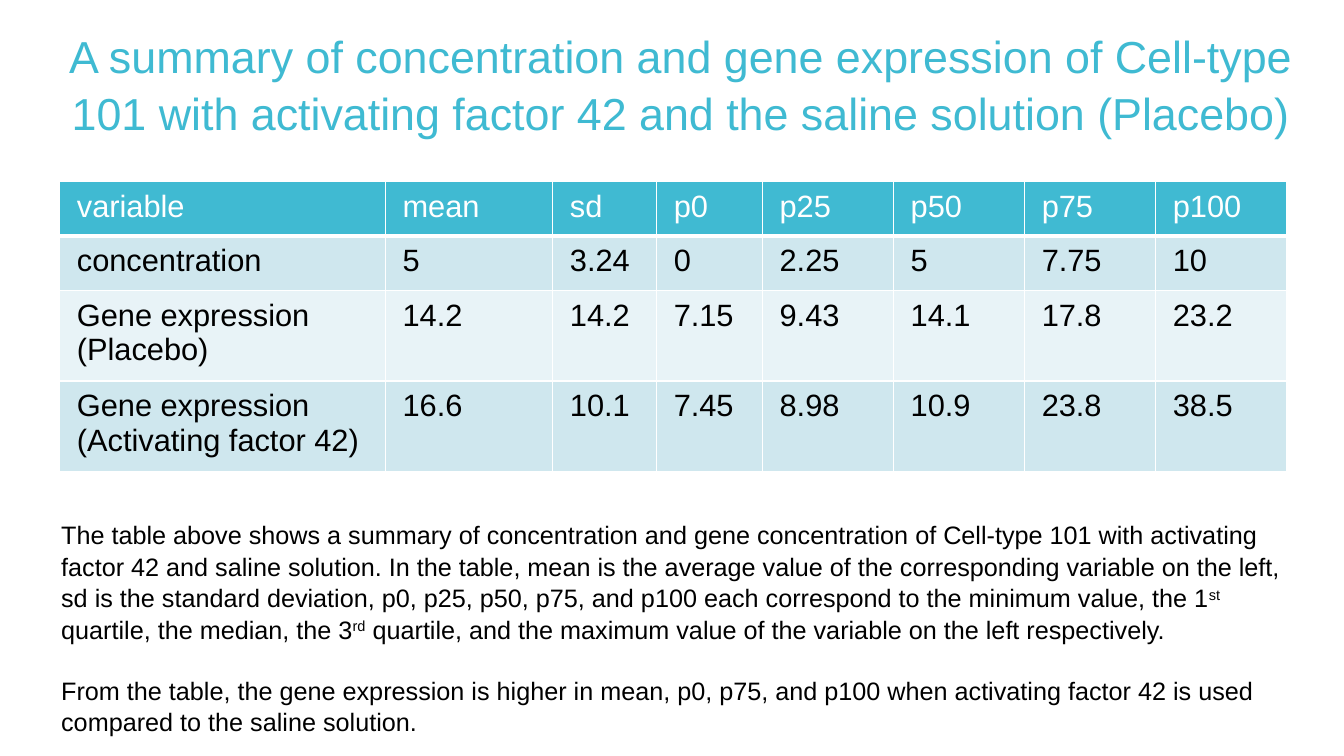
"""Build a slide that summarises concentration and gene expression."""
from lxml.etree import SubElement
from pptx import Presentation
from pptx.dml.color import RGBColor
from pptx.enum.text import MSO_ANCHOR, MSO_AUTO_SIZE, PP_ALIGN
from pptx.oxml import parse_xml
from pptx.oxml.ns import nsdecls, qn
from pptx.util import Inches, Pt

WIDTH, HEIGHT = Inches(13.33), Inches(7.5)
FONT = "Arial"
COLOURS = {"title": "3FBAD2", "header": "40BAD2", "odd": "CFE7EE",
           "even": "E8F3F7", "text": "000000", "white": "FFFFFF"}

TITLE = ("A summary of concentration and gene expression of Cell-type 101 "
         "with activating factor 42 and the saline solution (Placebo)")
COLUMN_WIDTHS = [3.23, 1.66, 1.03, 1.05] + [1.3] * 4
ROW_HEIGHTS = [0.54, 0.54, 0.9, 0.9]
ROWS = [
    ["variable", "mean", "sd", "p0", "p25", "p50", "p75", "p100"],
    ["concentration", "5", "3.24", "0", "2.25", "5", "7.75", "10"],
    ["Gene expression (Placebo)", "14.2", "14.2", "7.15", "9.43", "14.1", "17.8", "23.2"],
    ["Gene expression (Activating factor 42)", "16.6", "10.1", "7.45", "8.98", "10.9", "23.8", "38.5"],
]
NOTES = [
    [("The table above shows a summary of concentration and gene concentration of "
      "Cell-type 101 with activating factor 42 and saline solution. In the table, mean "
      "is the average value of the corresponding variable on the left, sd is the "
      "standard deviation, p0, p25, p50, p75, and p100 each correspond to the minimum "
      "value, the 1"), "st", " quartile, the median, the 3", "rd",
     " quartile, and the maximum value of the variable on the left respectively."],
    ["From the table, the gene expression is higher in mean, p0, p75, and p100 when "
     "activating factor 42 is used compared to the saline solution."],
]


def style_span(span, size, colour):
    """Set the font, size and colour of one run."""
    span.font.name = FONT
    span.font.size = Pt(size)
    span.font.color.rgb = RGBColor.from_string(COLOURS[colour])


def place_box(box, top, height):
    """Move a placeholder into the text column and return its text frame."""
    box.left, box.width = int(WIDTH * 0.038), int(WIDTH * 0.938)
    box.top, box.height = int(HEIGHT * top), int(HEIGHT * height)
    frame = box.text_frame
    frame.word_wrap = True
    frame.auto_size = MSO_AUTO_SIZE.SHAPE_TO_FIT_TEXT
    frame.vertical_anchor = MSO_ANCHOR.TOP
    return frame


def add_title(box):
    """Write the centred slide title."""
    frame = place_box(box, 0.028, 0.157)
    frame.text = TITLE
    para = frame.paragraphs[0]
    para.alignment = PP_ALIGN.CENTER
    para.line_spacing = 1.05
    style_span(para.runs[0], 32, "title")


def add_notes(box):
    """Write the explanation, raising every second run of a paragraph."""
    frame = place_box(box, 0.679, 0.296)
    for number, parts in enumerate(NOTES):
        para = frame.add_paragraph() if number else frame.paragraphs[0]
        para.line_spacing = 1.04
        para.space_before = Pt(21.5 * number)
        properties = para._p.get_or_add_pPr()
        properties.set("marL", "0")
        properties.set("indent", "0")
        SubElement(properties, qn("a:buNone"))
        for index, part in enumerate(parts):
            span = para.add_run()
            span.text = part
            style_span(span, 18, "text")
            if index % 2:
                span.font._element.set("baseline", "30000")


def border_cell(cell, top, bottom):
    """Draw white borders of the given top and bottom width."""
    widths = {"lnL": 1, "lnR": 1, "lnT": top, "lnB": bottom}
    for index, (side, width) in enumerate(widths.items()):
        line = parse_xml(
            f'<a:{side} {nsdecls("a")} w="{Pt(width)}"><a:solidFill>'
            f'<a:srgbClr val="{COLOURS["white"]}"/></a:solidFill></a:{side}>')
        cell._tc.get_or_add_tcPr().insert(index, line)


def fill_cell(cell, text, row):
    """Write and format one table cell according to its row."""
    cell.margin_left = cell.margin_right = Inches(0.17)
    cell.margin_top = cell.margin_bottom = Inches(0.08)
    cell.text = text
    style_span(cell.text_frame.paragraphs[0].runs[0], 22, "text" if row else "white")
    band = ("odd" if row % 2 else "even") if row else "header"
    cell.fill.solid()
    cell.fill.fore_color.rgb = RGBColor.from_string(COLOURS[band])
    border_cell(cell, 3 if row == 1 else 1, 1 if row else 3)


def add_summary_table(page):
    """Add the table of summary statistics."""
    table = page.shapes.add_table(
        len(ROWS), len(COLUMN_WIDTHS), int(WIDTH * 0.0445), int(HEIGHT * 0.24),
        Inches(sum(COLUMN_WIDTHS)), Inches(sum(ROW_HEIGHTS))).table
    for column, width in zip(table.columns, COLUMN_WIDTHS):
        column.width = Inches(width)
    for row, (height, texts) in enumerate(zip(ROW_HEIGHTS, ROWS)):
        table.rows[row].height = Inches(height)
        for column, text in enumerate(texts):
            fill_cell(table.cell(row, column), text, row)


def main():
    """Build and save the deck."""
    deck = Presentation()
    deck.slide_width, deck.slide_height = WIDTH, HEIGHT
    page = deck.slides.add_slide(deck.slide_layouts[1])
    add_title(page.shapes.title)
    add_summary_table(page)
    add_notes(page.placeholders[1])
    deck.save("out.pptx")


if __name__ == "__main__":
    main()
